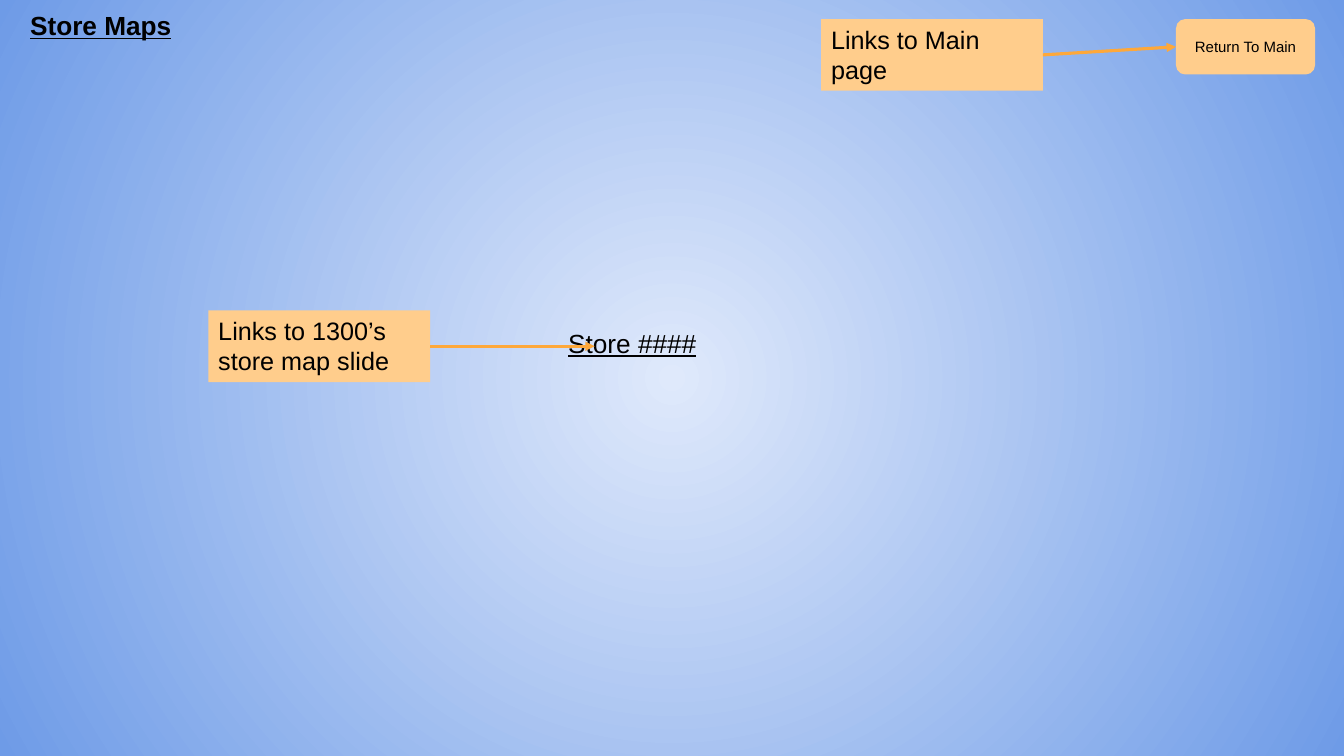
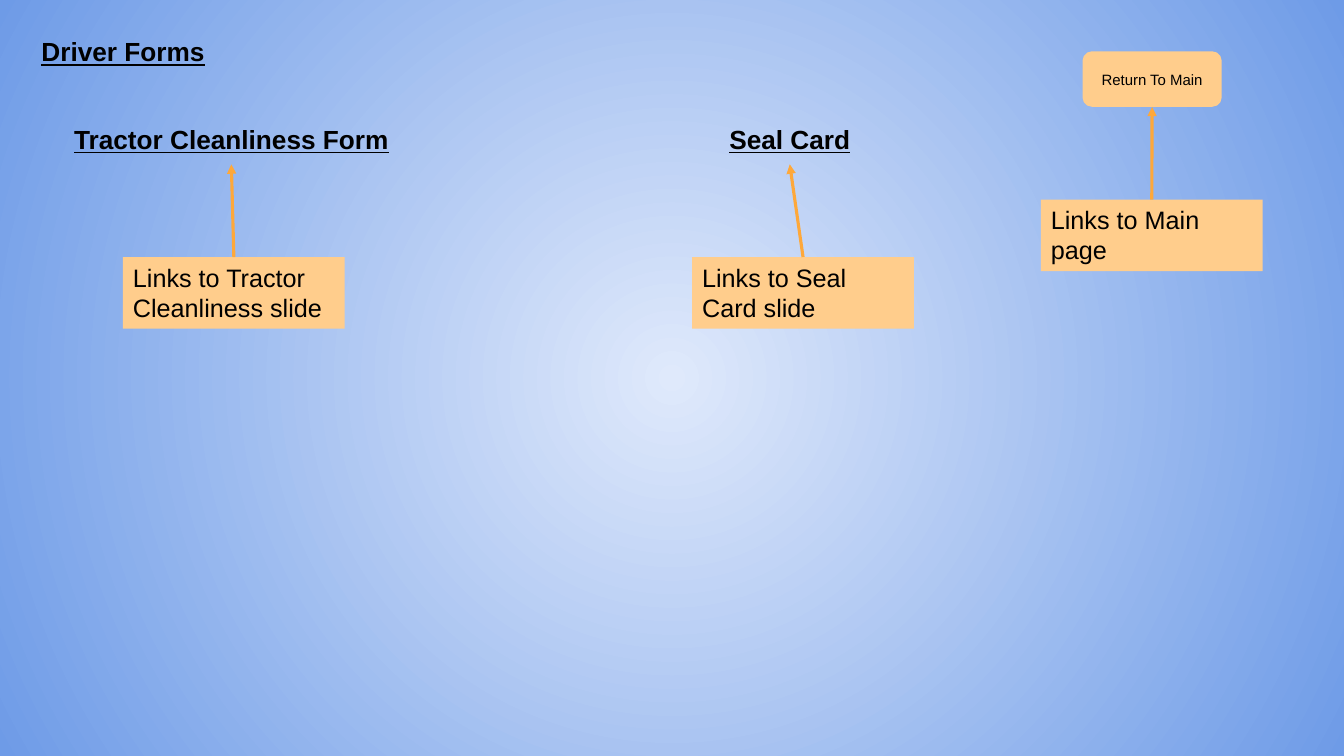
from dataclasses import dataclass
from typing import Optional

from lxml.etree import SubElement
from pptx import Presentation
from pptx.dml.color import RGBColor
from pptx.enum.shapes import MSO_CONNECTOR, MSO_SHAPE
from pptx.enum.text import MSO_ANCHOR, MSO_AUTO_SIZE, PP_ALIGN
from pptx.oxml.ns import qn
from pptx.util import Inches, Pt

WIDTH, HEIGHT = 13.33, 7.5
TOP, LEFT, BOTTOM, RIGHT = range(4)


@dataclass(frozen=True)
class Theme:
    font: str = "Arial"
    ink: RGBColor = RGBColor(0, 0, 0)
    glow: RGBColor = RGBColor(0xDF, 0xE9, 0xFB)
    edge: RGBColor = RGBColor(0x6E, 0x9B, 0xE7)
    panel: RGBColor = RGBColor(0xFF, 0xCD, 0x8C)
    arrow: RGBColor = RGBColor(0xFE, 0xA8, 0x3A)
    heading: float = 18.7
    note: float = 18
    button: float = 10.7
    line: float = 2.25


@dataclass(frozen=True)
class Style:
    width: float
    height: float
    size: float
    form: MSO_SHAPE = MSO_SHAPE.ROUNDED_RECTANGLE
    filled: bool = False
    bold: bool = False
    underline: bool = False
    centred: bool = True
    grow: bool = False
    inset: Optional[float] = None


@dataclass(frozen=True)
class Box:
    text: str
    style: Style
    x: float
    y: float


@dataclass(frozen=True)
class Link:
    source: int
    side: int
    target: int
    target_side: int
    reach: Optional[float] = None


@dataclass(frozen=True)
class Page:
    title: Box
    boxes: tuple[Box, ...]
    links: tuple[Link, ...]


THEME = Theme()
TITLE = Style(15, 6.67, THEME.heading, bold=True, underline=True)
FORM = Style(27.83, 6.67, THEME.heading, bold=True, underline=True)
STORE = Style(14.1, 5.87, THEME.heading, MSO_SHAPE.OVAL, underline=True, grow=True, inset=0)
BUTTON = Style(10.35, 7.33, THEME.button, filled=True)
NOTE = Style(16.5, 9.47, THEME.note, MSO_SHAPE.RECTANGLE, filled=True, centred=False, grow=True)

PAGES = (
    Page(
        Box("Store Maps", TITLE, 0, 0),
        (
            Box("Return To Main", BUTTON, 87.5, 2.53),
            Box("Store ####", STORE, 40, 42.4),
            Box("Links to Main page", NOTE, 61.1, 2.53),
            Box("Links to 1300’s store map slide", NOTE, 15.5, 41.07),
        ),
        (Link(2, RIGHT, 0, LEFT), Link(3, RIGHT, 1, LEFT, 44.25)),
    ),
    Page(
        Box("Driver Forms", TITLE, 1.65, 3.47),
        (
            Box("Tractor Cleanliness Form", FORM, 3.3, 15.07),
            Box("Return To Main", BUTTON, 80.55, 6.8),
            Box("Seal Card", FORM, 44.85, 15.07),
            Box("Links to Main page", NOTE, 77.45, 26.4),
            Box("Links to Seal Card slide", NOTE, 51.5, 34),
            Box("Links to Tractor Cleanliness slide", NOTE, 9.15, 34),
        ),
        (Link(3, TOP, 1, BOTTOM), Link(4, TOP, 2, BOTTOM), Link(5, TOP, 0, BOTTOM)),
    ),
)


def across(share: float) -> int:
    return Inches(WIDTH * share / 100)


def down(share: float) -> int:
    return Inches(HEIGHT * share / 100)


def frame(box: Box) -> tuple[int, int, int, int]:
    return across(box.x), down(box.y), across(box.style.width), down(box.style.height)


def paint_background(prs) -> None:
    master = prs.slide_master
    fill = master.background.fill
    fill.gradient()
    for stop, color in zip(fill.gradient_stops, (THEME.glow, THEME.edge)):
        stop.color.rgb = color
    grad = next(master.element.iter(qn("a:gradFill")))
    grad.remove(grad.find(qn("a:lin")))
    circle = SubElement(grad, qn("a:path"), path="circle")
    SubElement(circle, qn("a:fillToRect"), l="50000", t="50000", r="50000", b="50000")


def write_text(sp, box: Box) -> None:
    style = box.style
    tf = sp.text_frame
    tf.word_wrap = True
    tf.auto_size = MSO_AUTO_SIZE.SHAPE_TO_FIT_TEXT if style.grow else MSO_AUTO_SIZE.NONE
    tf.vertical_anchor = MSO_ANCHOR.MIDDLE if style.centred else MSO_ANCHOR.TOP
    if style.inset is not None:
        tf.margin_left = tf.margin_top = tf.margin_right = tf.margin_bottom = Inches(style.inset)
    p = tf.paragraphs[0]
    p.alignment = PP_ALIGN.CENTER if style.centred else PP_ALIGN.LEFT
    r = p.add_run()
    r.text = box.text
    r.font.name = THEME.font
    r.font.size = Pt(style.size)
    r.font.color.rgb = THEME.ink
    r.font.bold = style.bold
    r.font.underline = style.underline


def add_title(s, box: Box) -> None:
    sp = s.shapes.title
    sp.left, sp.top, sp.width, sp.height = frame(box)
    write_text(sp, box)


def add_box(s, box: Box):
    sp = s.shapes.add_shape(box.style.form, *frame(box))
    sp.shadow.inherit = False
    sp.line.fill.background()
    if box.style.filled:
        sp.fill.solid()
        sp.fill.fore_color.rgb = THEME.panel
    else:
        sp.fill.background()
    write_text(sp, box)
    return sp


def add_link(s, link: Link, shapes: list) -> None:
    cx = s.shapes.add_connector(MSO_CONNECTOR.STRAIGHT, 0, 0, 0, 0)
    cx.begin_connect(shapes[link.source], link.side)
    if link.reach is None:
        cx.end_connect(shapes[link.target], link.target_side)
    else:
        cx.end_x, cx.end_y = across(link.reach), cx.begin_y
    cx.line.color.rgb = THEME.arrow
    cx.line.width = Pt(THEME.line)
    props = cx.element.spPr
    SubElement(props.find(qn("a:ln")), qn("a:tailEnd"), type="triangle")
    SubElement(props, qn("a:effectLst"))


def add_page(prs, page: Page) -> None:
    s = prs.slides.add_slide(prs.slide_layouts.get_by_name("Title Only"))
    add_title(s, page.title)
    shapes = [add_box(s, box) for box in page.boxes]
    for link in page.links:
        add_link(s, link, shapes)


def main() -> None:
    prs = Presentation()
    prs.slide_width, prs.slide_height = Inches(WIDTH), Inches(HEIGHT)
    paint_background(prs)
    for page in PAGES:
        add_page(prs, page)
    prs.save("out.pptx")


if __name__ == "__main__":
    main()
